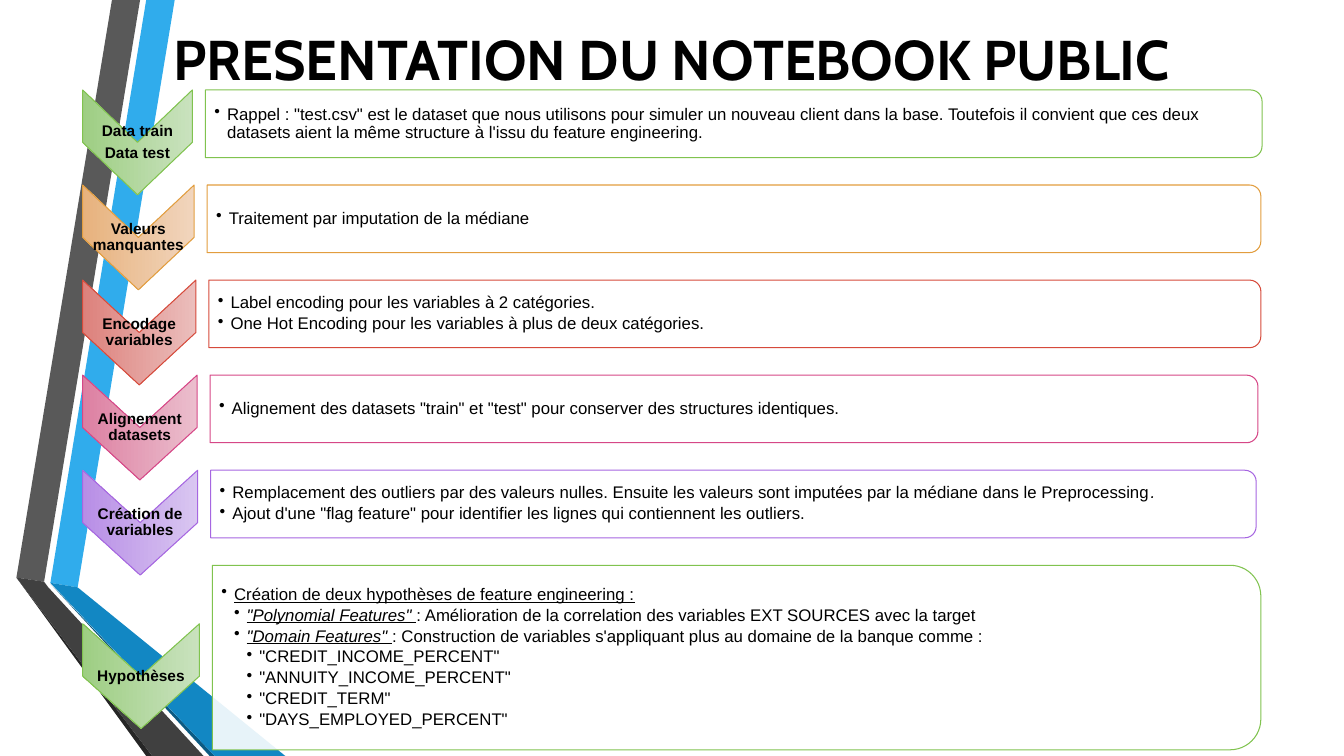
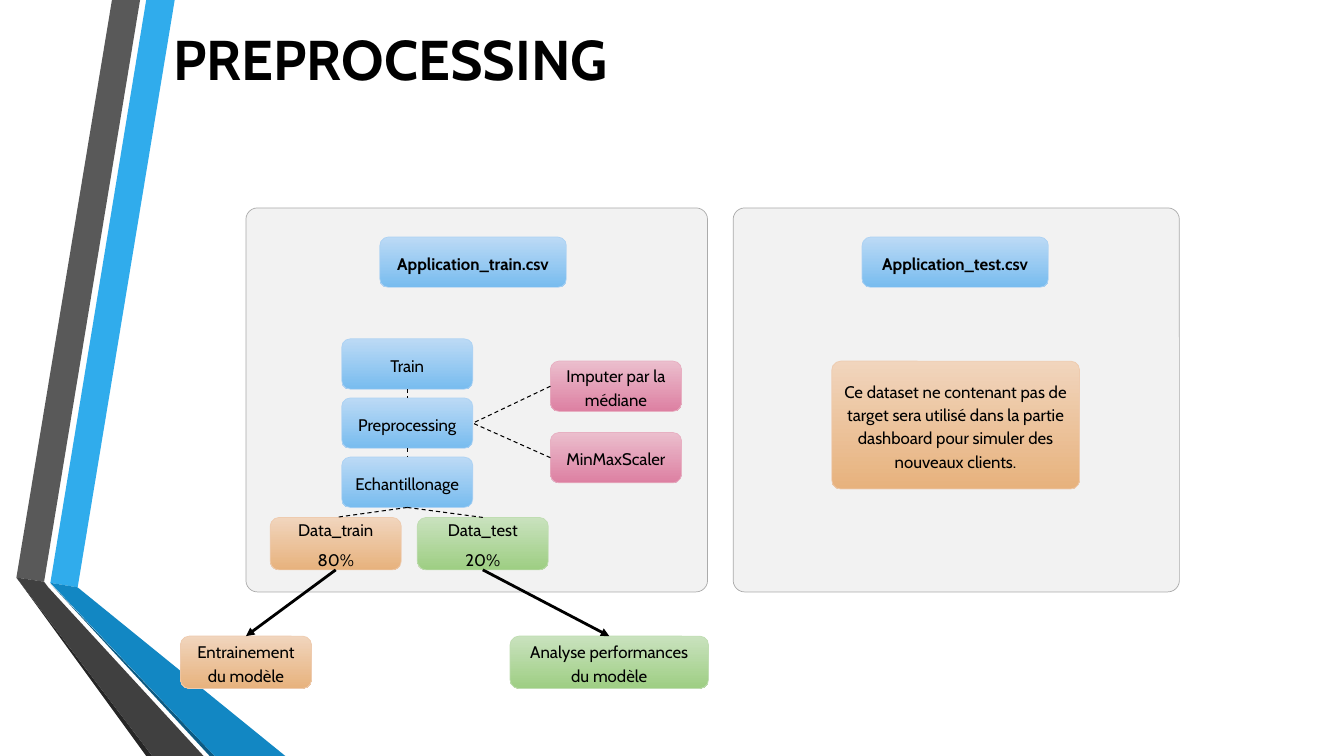
from dataclasses import dataclass

import lxml.etree
import pptx
import pptx.dml.color
import pptx.enum.dml
import pptx.enum.shapes
import pptx.enum.text
import pptx.oxml.ns
import pptx.util

PRESET = pptx.enum.shapes.MSO_SHAPE
ALIGN = pptx.enum.text.PP_ALIGN
MIDDLE = pptx.enum.text.MSO_ANCHOR.MIDDLE
TOP, LEFT, BOTTOM, RIGHT = range(4)


@dataclass(frozen=True)
class Tone:
    """Gradient ends, strong outline and soft outline of one hue."""
    light: str
    deep: str
    edge: str
    soft: str


@dataclass(frozen=True)
class Theme:
    """Colours, fonts and type sizes shared by the slides."""
    title_font: str = "Cabin"
    body_font: str = "Arial"
    title_size: int = 40
    body_size: int = 12
    label_size: int = 11
    ink: str = "000000"
    paper: str = "FFFFFF"
    panel: str = "F2F2F2"
    panel_edge: str = "ABABAB"
    green: Tone = Tone("C9E2BE", "9ECE83", "80C34F", "C0DDB2")
    orange: Tone = Tone("F1D5BD", "E7B27D", "E29D3E", "EECBAF")
    red: Tone = Tone("EBBEBC", "DD817C", "D64A3B", "D64A3B")
    pink: Tone = Tone("EBBECD", "DD80A2", "D64787", "E7B0C2")
    violet: Tone = Tone("D9C6F1", "B88EE6", "A666E1", "A666E1")
    blue: Tone = Tone("BCDAF5", "78BCEF", "78BCEF", "ADD2F3")


THEME = Theme()


@dataclass(frozen=True)
class Box:
    """Rectangle whose cells are given in percent of its size."""
    left: float
    top: float
    width: float
    height: float

    def cell(self, left, top, width, height):
        """Return the sub-box at the given percentages."""
        return Box(self.left + self.width * left / 100, self.top + self.height * top / 100,
                   self.width * width / 100, self.height * height / 100)

    def turned(self):
        """Return the box that covers this one after a quarter turn."""
        return Box(self.left + (self.width - self.height) / 2,
                   self.top + (self.height - self.width) / 2, self.height, self.width)

    def emu(self):
        """Return the four lengths as whole EMU."""
        return [pptx.util.Emu(round(value))
                for value in (self.left, self.top, self.width, self.height)]


PAGE = Box(0, 0, pptx.util.Inches(13.33), pptx.util.Inches(7.5))

RIBBON = [
    ("30ACEC", [(3.75, 77.1), (5.78, 77.7), (13, 0), (10.88, 0)]),
    ("595959", [(10.42, 0), (8.33, 0), (1.22, 76.4), (3.28, 76.95)]),
    ("262626", [(1.22, 76.4), (10.88, 100), (11.33, 100)]),
    ("0C5A82", [(3.75, 77.2), (15.6, 100), (15.98, 100)]),
    ("1287C3", [(3.75, 77.1), (15.98, 100), (21.23, 100), (5.78, 77.7)]),
    ("404040", [(15.15, 100), (3.6, 77.7), (3.28, 76.95), (1.22, 76.4), (11.33, 100)]),
]

STEPS = [
    (THEME.green, 9.3, 100, ["Data train", "Data test"], [
        (1, ("Rappel : \"test.csv\" est le dataset que nous utilisons pour simuler un nouveau "
             "client dans la base. Toutefois il convient que ces deux datasets aient la même "
             "structure à l'issu du feature engineering.", ""))]),
    (THEME.orange, 9.45, 99.9, ["Valeurs manquantes"], [
        (1, ("Traitement par imputation de la médiane", ""))]),
    (THEME.red, 9.6, 99.9, ["Encodage variables"], [
        (1, ("Label encoding pour les variables à 2 catégories.", "")),
        (1, ("One Hot Encoding pour les variables à plus de deux catégories.", ""))]),
    (THEME.pink, 9.7, 99.65, ["Alignement datasets"], [
        (1, ("Alignement des datasets \"train\" et \"test\" pour conserver des structures "
             "identiques.", ""))]),
    (THEME.violet, 9.75, 99.5, ["Création de variables"], [
        (1, ("Remplacement des outliers par des valeurs nulles. Ensuite les valeurs sont "
             "imputées par la médiane dans le Preprocessing", ""), (".", "i")),
        (1, ("Ajout d'une \"flag feature\" pour identifier les lignes qui contiennent les "
             "outliers.", ""))]),
    (THEME.green, 9.9, 99.9, ["Hypothèses"], [
        (1, ("Création de deux hypothèses de feature engineering :", "u")),
        (2, ("\"Polynomial Features\" ", "iu"),
         (": Amélioration de la correlation des variables EXT SOURCES avec la target", "")),
        (2, ("\"Domain Features\" ", "iu"),
         (": Construction de variables s'appliquant plus au domaine de la banque comme :", "")),
        (3, ("\"CREDIT_INCOME_PERCENT\"", "")),
        (3, ("\"ANNUITY_INCOME_PERCENT\"", "")),
        (3, ("\"CREDIT_TERM\"", "")),
        (3, ("\"DAYS_EMPLOYED_PERCENT\"", ""))]),
]


def rgb(value):
    """Turn a hex string into a colour."""
    return pptx.dml.color.RGBColor.from_string(value)


def add_mark(parent, tag, **attributes):
    """Append a drawing element to an XML parent."""
    return lxml.etree.SubElement(parent, pptx.oxml.ns.qn(tag), attributes)


def format_font(font, name, size, bold=False):
    """Apply face, size, weight and ink."""
    font.name, font.size, font.bold = name, pptx.util.Pt(size), bold
    font.color.rgb = rgb(THEME.ink)


def prepare_frame(frame, margins):
    """Wrap and centre a text frame vertically, with margins in inches."""
    frame.word_wrap = True
    frame.auto_size = pptx.enum.text.MSO_AUTO_SIZE.NONE
    frame.vertical_anchor = MIDDLE
    frame.margin_left, frame.margin_top, frame.margin_right, frame.margin_bottom = map(
        pptx.util.Inches, margins)


def write_centred(frame, lines, name, size, bold, spacing, before, after):
    """Fill a frame with centred paragraphs."""
    frame.text = "\n".join(lines)
    for paragraph in frame.paragraphs:
        paragraph.alignment = ALIGN.CENTER
        paragraph.line_spacing = spacing
        paragraph.space_before, paragraph.space_after = pptx.util.Pt(before), pptx.util.Pt(after)
        for run in paragraph.runs:
            format_font(run.font, name, size, bold)


def write_bullets(frame, items):
    """Fill a frame with bulleted paragraphs of styled runs."""
    for index, (level, *pieces) in enumerate(items):
        paragraph = frame.paragraphs[0] if index == 0 else frame.add_paragraph()
        paragraph.level = level
        paragraph.alignment = ALIGN.LEFT
        paragraph.line_spacing = 0.9
        paragraph.space_after = pptx.util.Pt(2)
        properties = paragraph._p.get_or_add_pPr()
        hanging = pptx.util.Pt(9)
        properties.set("marL", str(hanging * level))
        properties.set("indent", str(-hanging))
        add_mark(properties, "a:buChar", char="•")
        for text, style in pieces:
            run = paragraph.add_run()
            run.text = text
            format_font(run.font, THEME.body_font, THEME.body_size)
            run.font.italic, run.font.underline = "i" in style, "u" in style


def add_outlined(slide, preset, box, fill, edge, width):
    """Add a preset shape with a plain colour or a tone as its fill."""
    shape = slide.shapes.add_shape(preset, *box.emu())
    shape.shadow.inherit = False
    if isinstance(fill, Tone):
        shape.fill.gradient()
        shape.fill.gradient_angle = 270
        for stop, colour in zip(shape.fill.gradient_stops, (fill.light, fill.deep)):
            stop.color.rgb = rgb(colour)
    else:
        shape.fill.solid()
        shape.fill.fore_color.rgb = rgb(fill)
    shape.line.color.rgb = rgb(edge)
    shape.line.width = pptx.util.Pt(width)
    return shape


def add_ribbon(slide, layout):
    """Draw the folded ribbon and hand it to the layout."""
    for index, (colour, points) in enumerate(RIBBON):
        start, *others = [(round(x * 100), round(y * 100)) for x, y in points]
        builder = slide.shapes.build_freeform(
            *start, scale=(PAGE.width / 10000, PAGE.height / 10000))
        builder.add_line_segments(others, close=True)
        shape = builder.convert_to_shape()
        shape.shadow.inherit = False
        shape.fill.solid()
        shape.fill.fore_color.rgb = rgb(colour)
        shape.line.fill.background()
        shape._element.nvSpPr.cNvPr.id = 100 + index
        layout.shapes._spTree.append(shape._element)


def add_titled_slide(presentation, layout, text):
    """Add a title-only slide with its heading placed and formatted."""
    slide = presentation.slides.add_slide(layout)
    title = slide.shapes.title
    title.left, title.top, title.width, title.height = PAGE.cell(12.15, 0, 82.1, 15.5).emu()
    title.text_frame.text = text
    prepare_frame(title.text_frame, (0.1, 0.05, 0.1, 0.05))
    paragraph = title.text_frame.paragraphs[0]
    paragraph.alignment = ALIGN.LEFT
    format_font(paragraph.runs[0].font, THEME.title_font, THEME.title_size, True)
    return slide


def add_step(slide, chevron_box, panel_box, tone, labels, items):
    """Place one chevron with its label and its panel of bullets."""
    chevron = add_outlined(slide, PRESET.CHEVRON, chevron_box.turned(), tone, tone.edge, 0.75)
    panel = add_outlined(slide, PRESET.ROUND_2_SAME_RECTANGLE, panel_box.turned(),
                         THEME.paper, tone.edge, 0.75)
    chevron.rotation = panel.rotation = 90
    colour = panel._element.spPr.find(
        pptx.oxml.ns.qn("a:solidFill") + "/" + pptx.oxml.ns.qn("a:srgbClr"))
    add_mark(colour, "a:alpha", val="90000")
    label = slide.shapes.add_textbox(*chevron_box.emu()).text_frame
    prepare_frame(label, (0.01,) * 4)
    write_centred(label, labels, THEME.body_font, THEME.label_size, True, 0.9, 0, 4)
    body = slide.shapes.add_textbox(*panel_box.cell(0, 5, 99.7, 90).emu()).text_frame
    prepare_frame(body, (0.09, 0.01, 0.01, 0.01))
    write_bullets(body, items)


def add_timeline(slide, box):
    """Stack the steps, the last one with a taller panel."""
    pitch, gap, chevron_height, panel_height, last_height = 14.42, 1.1, 15.9, 10.25, 28
    for row, (tone, chevron_width, right, labels, items) in enumerate(STEPS):
        height = last_height if row == len(STEPS) - 1 else panel_height
        top, left = row * pitch, chevron_width + gap
        drop = (height - panel_height) / 2
        add_step(slide, box.cell(0, top + drop, chevron_width, chevron_height),
                 box.cell(left, top, right - left, height), tone, labels, items)


def add_card(slide, box, tone, lines, bold=False, after=10, rounding=0.17):
    """Add a rounded gradient card with centred text."""
    card = add_outlined(slide, PRESET.ROUNDED_RECTANGLE, box, tone, tone.soft, 0.5)
    card.adjustments[0] = rounding
    prepare_frame(card.text_frame, (0.1, 0.05, 0.1, 0.05))
    write_centred(card.text_frame, lines, THEME.title_font, THEME.body_size, bold, 1.15, 5, after)
    return card


def add_panel(slide, box):
    """Add the pale backdrop of a dataset."""
    panel = add_outlined(slide, PRESET.ROUNDED_RECTANGLE, box, THEME.panel, THEME.panel_edge, 0.5)
    panel.adjustments[0] = 0.03


def join(slide, first, first_side, second, second_side, arrow=False):
    """Join two cards by a dashed line or a thin arrow."""
    connector = slide.shapes.add_connector(pptx.enum.shapes.MSO_CONNECTOR.STRAIGHT, 0, 0, 0, 0)
    connector.begin_connect(first, first_side)
    connector.end_connect(second, second_side)
    connector.line.color.rgb = rgb(THEME.ink)
    connector.line.width = pptx.util.Pt(0 if arrow else 0.75)
    if arrow:
        add_mark(connector.line._get_or_add_ln(), "a:tailEnd", type="triangle")
    else:
        connector.line.dash_style = pptx.enum.dml.MSO_LINE.DASH
    add_mark(connector._element.spPr, "a:effectLst")


def add_train_region(slide, box):
    """Place the training flow, its split and the two outcomes."""
    add_panel(slide, box)
    width, height, split_height = 28.4, 13.1, 13.65
    add_card(slide, box.cell(29, 7.6, 40.4, height), THEME.blue, ["Application_train.csv"], True)
    train, preprocessing, sampling = [
        add_card(slide, box.cell(20.75, 34.1 + 15.4 * row, width, height), THEME.blue, [text])
        for row, text in enumerate(["Train", "Preprocessing", "Echantillonage"])]
    join(slide, train, BOTTOM, preprocessing, TOP)
    join(slide, preprocessing, BOTTOM, sampling, TOP)
    for row, text in enumerate(["Imputer par la médiane", "MinMaxScaler"]):
        card = add_card(slide, box.cell(65.95, 39.9 + 18.6 * row, width, height),
                        THEME.pink, [text])
        join(slide, card, LEFT, preprocessing, RIGHT)
    branches = [
        (THEME.orange, 5.25, ["Data_train", "80%"], -14.2, width, "Entrainement du modèle"),
        (THEME.green, 37.1, ["Data_test", "20%"], 57.2, 43, "Analyse performances du modèle"),
    ]
    for tone, left, lines, outcome_left, outcome_width, text in branches:
        sample = add_card(slide, box.cell(left, 80.6, width, split_height), tone, lines, after=0)
        outcome = add_card(slide, box.cell(outcome_left, 111.5, outcome_width, split_height),
                           tone, [text], after=0)
        join(slide, sampling, BOTTOM, sample, TOP)
        join(slide, sample, BOTTOM, outcome, TOP, arrow=True)


def add_test_region(slide, box):
    """Place the test file and the remark about its use."""
    add_panel(slide, box)
    add_card(slide, box.cell(28.9, 7.6, 41.75, 13.1), THEME.blue, ["Application_test.csv"], True)
    add_card(slide, box.cell(22.1, 39.9, 55.55, 33.3), THEME.orange,
             ["Ce dataset ne contenant pas de target sera utilisé dans la partie dashboard "
              "pour simuler des nouveaux clients."], rounding=0.07)


def main():
    """Build and save the presentation."""
    presentation = pptx.Presentation()
    presentation.slide_width, presentation.slide_height = PAGE.width, PAGE.height
    layout = presentation.slide_layouts.get_by_name("Title Only")
    notebook = add_titled_slide(presentation, layout, "PRESENTATION DU NOTEBOOK PUBLIC")
    add_ribbon(notebook, layout)
    add_timeline(notebook, PAGE.cell(6.15, 11.9, 87.75, 87.2))
    preprocessing = add_titled_slide(presentation, layout, "PREPROCESSING")
    add_test_region(preprocessing, PAGE.cell(54.55, 27.5, 33.2, 50.8))
    add_train_region(preprocessing, PAGE.cell(18.3, 27.5, 34.35, 50.8))
    presentation.save("out.pptx")


if __name__ == "__main__":
    main()
